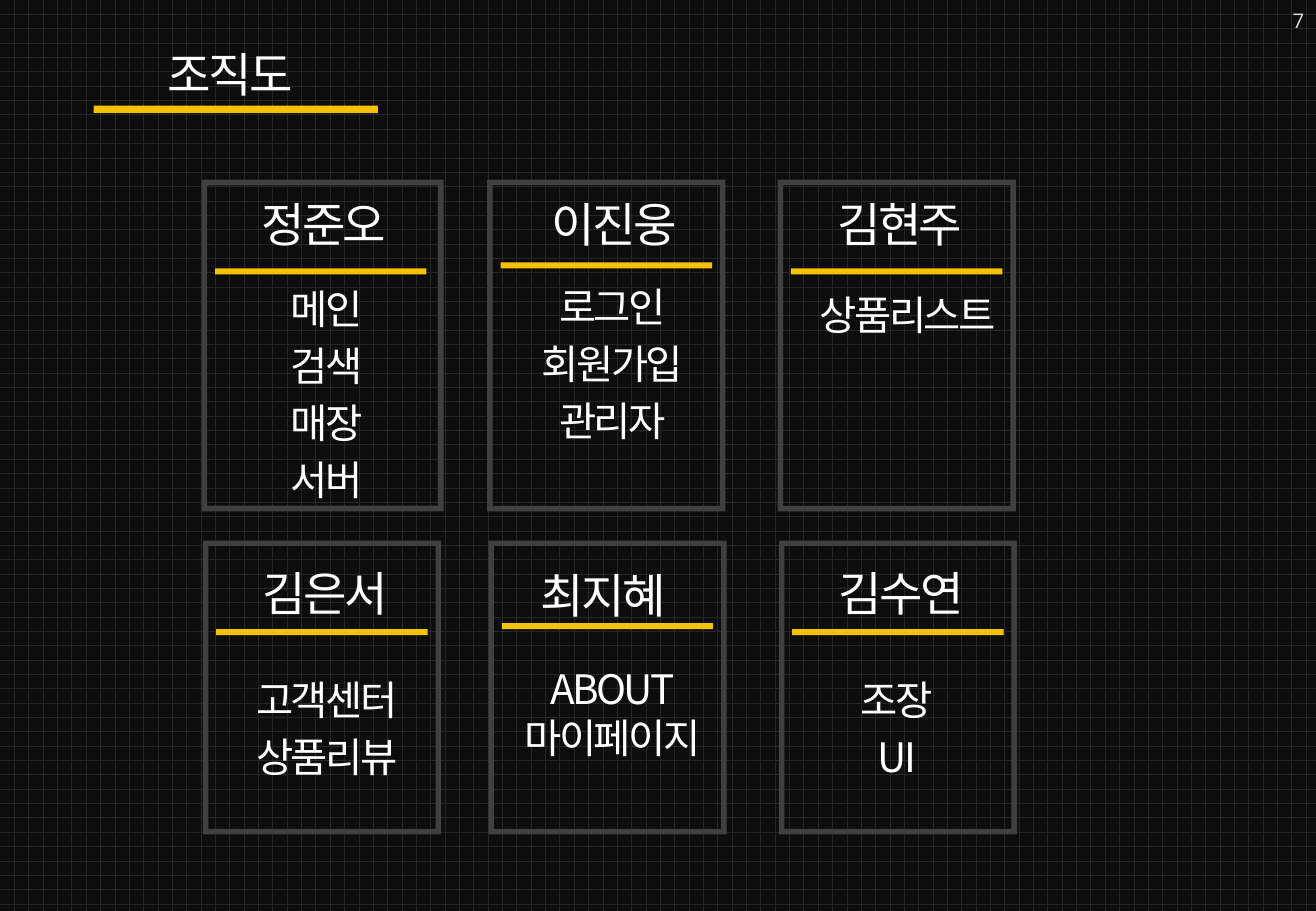
"""Builds the team organisation chart slide."""
from dataclasses import dataclass
from typing import NamedTuple

from lxml import etree
from pptx import Presentation
from pptx.dml.color import RGBColor
from pptx.enum.dml import MSO_PATTERN
from pptx.enum.shapes import MSO_SHAPE
from pptx.enum.text import MSO_ANCHOR, MSO_AUTO_SIZE, PP_ALIGN
from pptx.oxml.ns import qn
from pptx.util import Emu, Pt

BRICK = MSO_PATTERN.HORIZONTAL_BRICK
RECTANGLE, FRAME = MSO_SHAPE.RECTANGLE, MSO_SHAPE.FRAME
LEFT, CENTER, RIGHT = PP_ALIGN.LEFT, PP_ALIGN.CENTER, PP_ALIGN.RIGHT
TOP, MIDDLE = MSO_ANCHOR.TOP, MSO_ANCHOR.MIDDLE
NO_AUTOFIT = MSO_AUTO_SIZE.NONE
TITLE_ONLY = 5
EMU_PER_PX = 9144


@dataclass(frozen=True)
class Theme:
    """Colours, fonts and type sizes of the slide."""
    backdrop: str = "0D0D0D"
    grid: str = "262626"
    frame: str = "404040"
    accent: str = "F5C201"
    text: str = "FFFFFF"
    muted: str = "D9D9D9"
    korean_font: str = "Noto Sans CJK KR"
    number_font: str = "Open Sans"
    heading_size: int = 28
    list_size: int = 24
    number_size: int = 12
    line_height: float = 1.2
    tracking: int = -150
    list_gap: int = 5


class Card(NamedTuple):
    """One member's card; the name and task offsets count from its left edge."""
    member: str
    tasks: list
    left: int
    width: int
    name_shift: int
    name_top: int
    bar_top: int
    list_shift: int
    list_top: int


class Row(NamedTuple):
    """A row of cards sharing top and height."""
    top: int
    height: int
    cards: list


ROWS = [
    Row(148, 273, [
        Card("정준오", ["메인", "검색", "매장", "서버"], 166, 199, 9, 156, 221, 8, 229),
        Card("이진웅", ["로그인", "회원가입", "관리자"], 401, 196, 13, 156, 216, 8, 227),
        Card("김현주", ["상품리스트"], 640, 196, 9, 156, 221, 12, 234),
    ]),
    Row(445, 242, [
        Card("김은서", ["고객센터", "상품리뷰"], 167, 196, 9, 460, 518, 7, 551),
        Card("최지혜", ["ABOUT\v마이페이지"], 402, 196, 3, 461, 513, 7, 542),
        Card("김수연", ["조장", "UI"], 641, 196, 9, 460, 518, 2, 551),
    ]),
]


class SlideBuilder:
    """Draws themed elements on the current slide."""

    def __init__(self, deck, theme):
        """Add a title-only slide with a grid background."""
        self.theme = theme
        self.page = deck.slides.add_slide(deck.slide_layouts[TITLE_ONLY])
        fill = self.page.background.fill
        fill.patterned()
        fill.pattern = BRICK
        fill.fore_color.rgb = RGBColor.from_string(theme.grid)
        fill.back_color.rgb = RGBColor.from_string(theme.backdrop)

    def box(self, *lengths):
        """Turn px lengths into EMU."""
        return [Emu(length * EMU_PER_PX) for length in lengths]

    def shape(self, kind, color, *place):
        """Add a flat preset shape."""
        shape = self.page.shapes.add_shape(kind, *self.box(*place))
        shape.shadow.inherit = False
        shape.fill.solid()
        shape.fill.fore_color.rgb = RGBColor.from_string(color)
        shape.line.fill.background()
        return shape

    def bar(self, *place):
        """Add an accent bar."""
        self.shape(RECTANGLE, self.theme.accent, *place)

    def frame(self, *place):
        """Add a hollow card border."""
        self.shape(FRAME, self.theme.frame, *place).adjustments[0] = 0.023

    def fill_text(self, holder, lines, size, align, gap=0):
        """Fill a shape with Korean paragraphs."""
        theme = self.theme
        frame = holder.text_frame
        frame.auto_size = NO_AUTOFIT
        frame.vertical_anchor = TOP
        for index, line in enumerate(lines):
            para = frame.add_paragraph() if index else frame.paragraphs[0]
            para.text = line
            para.alignment = align
            para.space_before = Pt(gap)
            para.line_spacing = Pt(size * theme.line_height)
            self.style(para, theme.korean_font, size, theme.text)
            properties = para._p.get_or_add_pPr().get_or_add_defRPr()
            properties.set("spc", str(theme.tracking))
            etree.SubElement(properties, qn("a:ea"), typeface=theme.korean_font)

    def style(self, para, name, size, color):
        """Set the font of a paragraph."""
        para.font.name = name
        para.font.size = Pt(size)
        para.font.color.rgb = RGBColor.from_string(color)

    def title(self, text, *place):
        """Place and fill the title placeholder."""
        title = self.page.shapes.title
        title.left, title.top, title.width, title.height = self.box(*place)
        title.text_frame.word_wrap = False
        self.fill_text(title, [text], self.theme.heading_size, LEFT)

    def text_box(self, lines, size, gap, *place):
        """Add a centred text box."""
        holder = self.page.shapes.add_textbox(*self.box(*place))
        holder.text_frame.word_wrap = True
        self.fill_text(holder, lines, size, CENTER, gap)

    def page_number(self, text, *place):
        """Add the page number."""
        frame = self.page.shapes.add_textbox(*self.box(*place)).text_frame
        frame.word_wrap = True
        frame.vertical_anchor = MIDDLE
        para = frame.paragraphs[0]
        para.text = text
        para.alignment = RIGHT
        self.style(para, self.theme.number_font, self.theme.number_size, self.theme.muted)

    def card(self, card, top, height):
        """Draw a member's frame, name, tasks and bar."""
        theme = self.theme
        self.frame(card.left, top, card.width, height)
        self.text_box([card.member], theme.heading_size, 0,
                      card.left + card.name_shift, card.name_top, 183, 57)
        self.text_box(card.tasks, theme.list_size, theme.list_gap,
                      card.left + card.list_shift, card.list_top,
                      190, 48 * len(card.tasks) + 2)
        self.bar(card.left + 11, card.bar_top, 174, 5)


def main():
    """Build and save the deck."""
    deck = Presentation()
    deck.slide_width, deck.slide_height = Emu(1083 * EMU_PER_PX), Emu(750 * EMU_PER_PX)
    builder = SlideBuilder(deck, Theme())
    builder.page_number("7", 805, -3, 278, 40)
    builder.bar(77, 87, 234, 6)
    builder.title("조직도", 128, 32, 132, 57)
    for row in ROWS:
        for card in row.cards:
            builder.card(card, row.top, row.height)
    deck.save("out.pptx")


if __name__ == "__main__":
    main()
